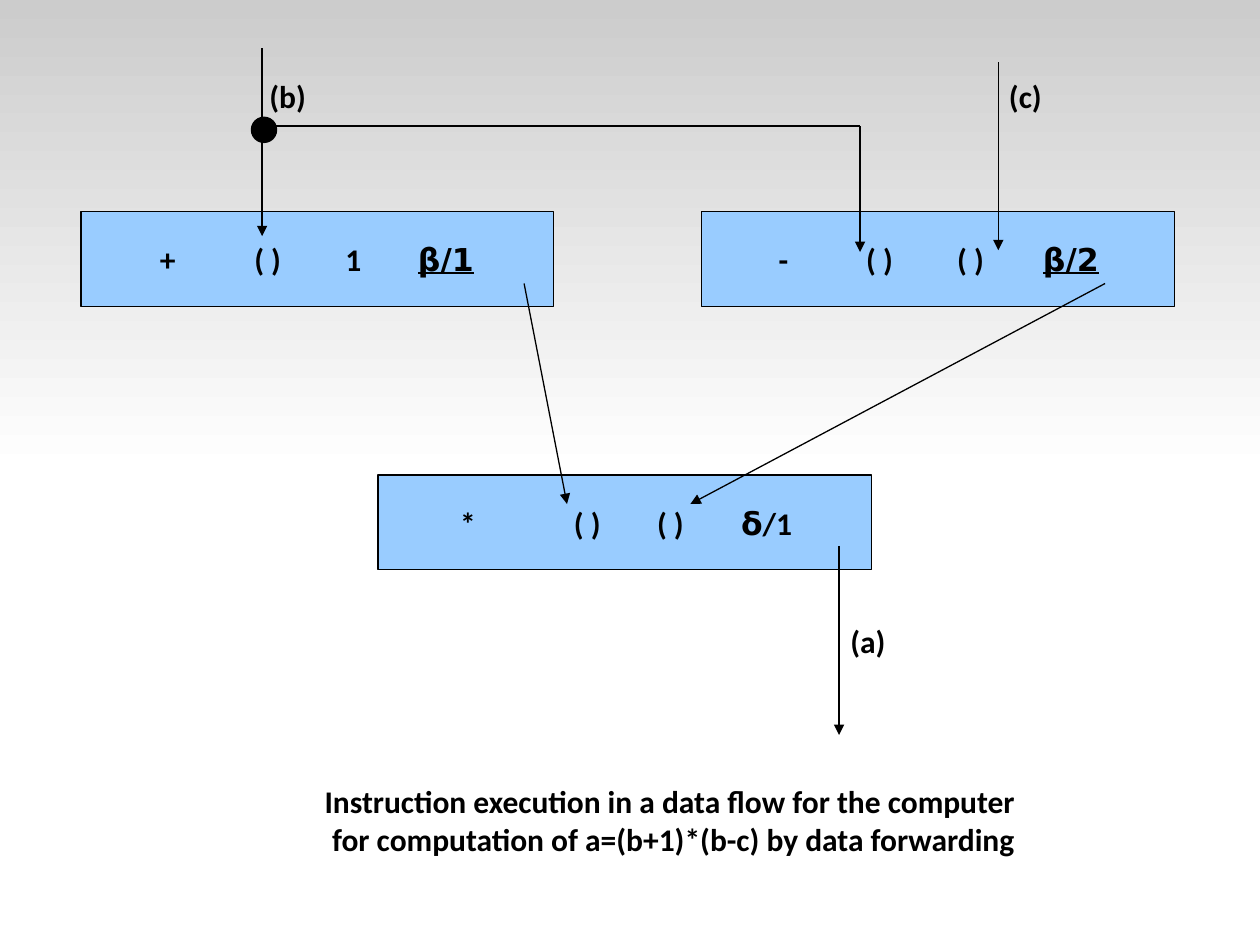
import pptx
import pptx.dml.color
import pptx.enum.shapes
import pptx.enum.text
import pptx.oxml.ns
import pptx.util
from lxml import etree

Pt = pptx.util.Pt
Kind = pptx.enum.shapes.MSO_SHAPE
Align = pptx.enum.text.PP_ALIGN
Anchor = pptx.enum.text.MSO_ANCHOR
qn = pptx.oxml.ns.qn


def tint(color, code):
    color.rgb = pptx.dml.color.RGBColor.from_string(code)


def style(run, face="Calibri"):
    run.font.name = face
    run.font.size = Pt(18)
    run.font.bold = True
    tint(run.font.color, "000000")


deck = pptx.Presentation()
deck.slide_width, deck.slide_height = Pt(720), Pt(540)
shapes = deck.slides.add_slide(deck.slide_layouts[6]).shapes

# Shaded upper half
shade = shapes.add_shape(Kind.RECTANGLE, 0, 0, Pt(720), Pt(270))
shade.shadow.inherit = False
shade.line.fill.background()
shade.fill.gradient()
shade.fill.gradient_angle = 270
for stop, place, code in zip(shade.fill.gradient_stops, (0, 1), ("CCCCCC", "FFFFFF")):
    stop.position = place
    tint(stop.color, code)

# Instruction cells: left, top, width, field offsets, runs as (text, face, underline)
sans = "DejaVu Sans"
cells = [
    (46.3, 121, 270, (45, 99, 151, 192.5),
     [("+\t( )\t1\t", "Calibri", False), ("β/1", sans, True)]),
    (401, 121, 270, (44, 94, 146, 195),
     [("-\t( )\t( )\t", "Calibri", False), ("β/2", sans, True)]),
    (216, 271.5, 282, (47, 112, 159.5, 207.5),
     [("*\t( )\t( )\t", "Calibri", False), ("δ", sans, False), ("/1", "Calibri", False)]),
]
for left, top, width, fields, parts in cells:
    cell = shapes.add_shape(Kind.RECTANGLE, Pt(left), Pt(top), Pt(width), Pt(54))
    cell.shadow.inherit = False
    cell.fill.solid()
    tint(cell.fill.fore_color, "99CCFF")
    tint(cell.line.color, "000000")
    cell.line.width = Pt(0.75)
    frame = cell.text_frame
    frame.word_wrap = True
    frame.vertical_anchor = Anchor.MIDDLE
    frame.margin_left, frame.margin_right = Pt(fields[0]), 0
    para = frame.paragraphs[0]
    para.alignment = Align.LEFT
    tabs = etree.SubElement(para._p.get_or_add_pPr(), qn("a:tabLst"))
    for field in fields[1:]:
        etree.SubElement(tabs, qn("a:tab"), pos=str(Pt(field - fields[0])), algn="l")
    for text, face, under in parts:
        run = para.add_run()
        run.text = text
        style(run, face)
        run.font.underline = under

# Data paths: start, end, arrowhead
paths = [
    (149.8, 27.5, 149.8, 135, True),
    (149.8, 72, 491.5, 72, False),
    (491.5, 72, 491.5, 144, True),
    (570.5, 35.5, 570.5, 143, True),
    (299.5, 162, 324, 288, True),
    (631.5, 162, 394.5, 288, True),
    (479.5, 312, 479.5, 420, True),
]
for x1, y1, x2, y2, head in paths:
    line = shapes.add_connector(
        pptx.enum.shapes.MSO_CONNECTOR.STRAIGHT, Pt(x1), Pt(y1), Pt(x2), Pt(y2))
    tint(line.line.color, "000000")
    line.line.width = Pt(0.75)
    if head:
        etree.SubElement(line.line._get_or_add_ln(), qn("a:tailEnd"), type="triangle")
    etree.SubElement(line._element.spPr, qn("a:effectLst"))

# Fork where b is sent to both cells
fork = shapes.add_shape(Kind.OVAL, Pt(143.7), Pt(67), Pt(14.4), Pt(14.4))
fork.shadow.inherit = False
fork.fill.solid()
tint(fork.fill.fore_color, "000000")
tint(fork.line.color, "000000")
fork.line.width = Pt(0.75)

# Labels and caption
caption = ("Instruction execution in a data flow for the computer \n"
           "for computation of a=(b+1)*(b-c) by data forwarding")
notes = [
    (478.8, 352, 43, 29, "(a)", Align.LEFT),
    (569.5, 40.3, 42, 29, "(c)", Align.LEFT),
    (146.9, 40.3, 44, 29, "(b)", Align.LEFT),
    (104.4, 443.5, 561, 50.5, caption, Align.CENTER),
]
for left, top, width, height, text, align in notes:
    frame = shapes.add_textbox(Pt(left), Pt(top), Pt(width), Pt(height)).text_frame
    frame.word_wrap = True
    frame.text = text
    for para in frame.paragraphs:
        para.alignment = align
        style(para.runs[0])

deck.save("out.pptx")
